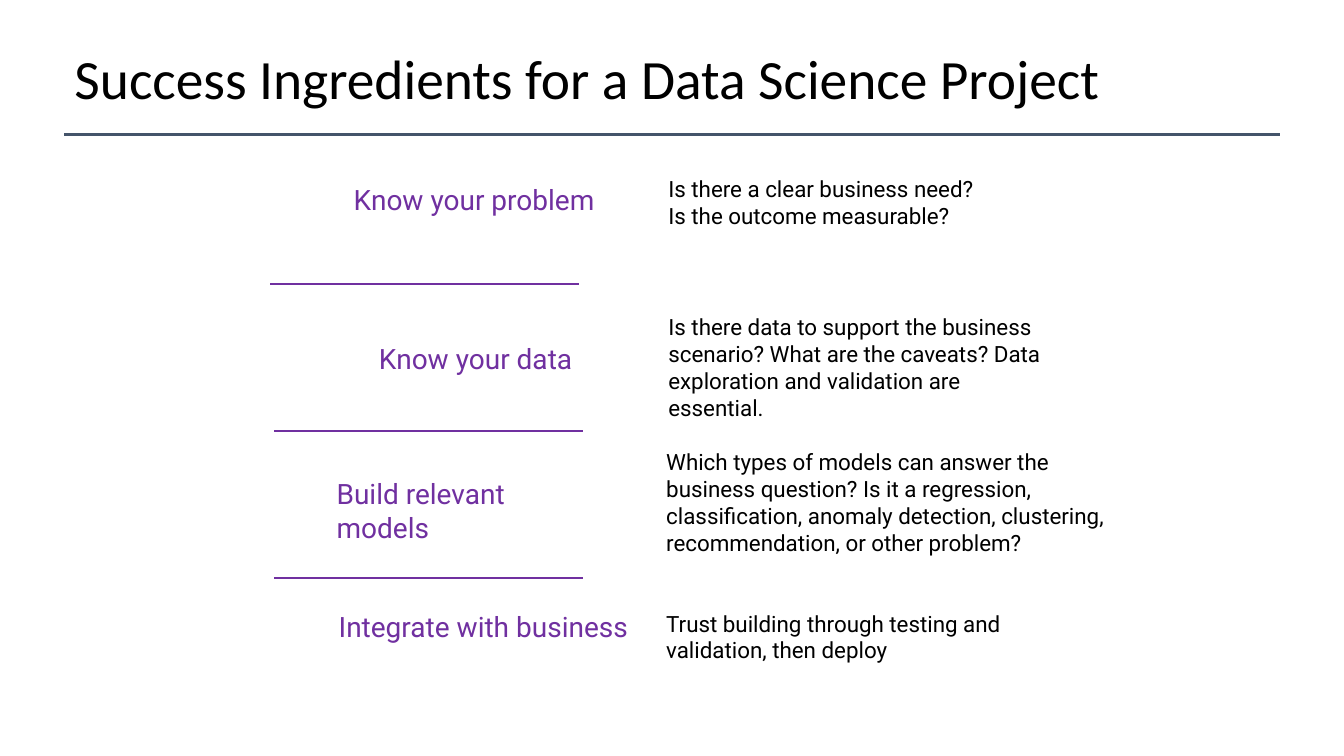
from dataclasses import dataclass

import pptx
import pptx.dml.color
import pptx.enum.shapes
import pptx.enum.text
import pptx.oxml
import pptx.util

Pt = pptx.util.Pt
RGB = pptx.dml.color.RGBColor.from_string


@dataclass(frozen=True)
class Theme:
    text: str = "000000"
    accent: str = "7030A0"
    rule: str = "44546A"
    title_font: str = "Calibri"
    body_font: str = "Roboto"
    title_size: float = 39.6
    label_size: float = 20
    detail_size: float = 16


@dataclass(frozen=True)
class Ingredient:
    label: str
    details: tuple
    label_box: tuple
    detail_box: tuple
    rule_dx: float = 0


THEME = Theme()
SLIDE_W, SLIDE_H = 960, 540
ROW_LEFT, ROW_TOP, ROW_W, ROW_H = 196, 98, 615, 105
RULE_W = 220.5

INGREDIENTS = [
    Ingredient("Know your problem",
               ("Is there a clear business need?", "Is the outcome measurable?"),
               (42.3, 20.8, 232.6, 71.3), (267, 15.8, 254.2, 78.5), -3),
    Ingredient("Know your data",
               ("Is there data to support the business scenario? What are the caveats? "
                "Data exploration and validation are essential.",),
               (60.3, 29.6, 214.6, 71.3), (267, 9.4, 303.8, 72)),
    Ingredient("Build relevant models",
               ("Which types of models can answer the business question? Is it a regression, "
                "classification, anomaly detection, clustering, recommendation, or other problem?",),
               (30, 21, 209.5, 71.3), (265.5, 0.9, 345.6, 93.6)),
    Ingredient("Integrate with business",
               ("Trust building through testing and validation, then deploy",),
               (31.5, 11, 243.4, 71.3), (265.5, 11, 319, 69.1)),
]


def add_run(p, text, font, size, color):
    r = p.add_run()
    r.text = text
    r.font.name = font
    r.font.size = Pt(size)
    r.font.color.rgb = RGB(color)


def add_rule(s, x, y, w, color, weight):
    sp = s.shapes.add_connector(pptx.enum.shapes.MSO_CONNECTOR.STRAIGHT,
                                Pt(x), Pt(y), Pt(x + w), Pt(y))
    sp.line.color.rgb = RGB(color)
    sp.line.width = Pt(weight)
    sp._element.spPr.append(pptx.oxml.parse_xml(
        '<a:effectLst xmlns:a="http://schemas.openxmlformats.org/drawingml/2006/main"/>'))


def add_text(s, box, paragraphs, size, color):
    tf = s.shapes.add_textbox(*map(Pt, box)).text_frame
    tf.word_wrap = True
    tf.margin_left = tf.margin_right = Pt(14.4)
    tf.margin_top = tf.margin_bottom = Pt(11.5)
    for i, text in enumerate(paragraphs):
        p = tf.add_paragraph() if i else tf.paragraphs[0]
        add_run(p, text, THEME.body_font, size, color)


def add_header(s, box, text):
    x, y, w, h = box
    add_rule(s, x, y + h, w, THEME.rule, 2)
    title = s.shapes.title
    title.left, title.top, title.width, title.height = Pt(x), Pt(y), Pt(w), Pt(44)
    tf = title.text_frame
    tf.word_wrap = True
    tf.auto_size = pptx.enum.text.MSO_AUTO_SIZE.NONE
    tf.vertical_anchor = pptx.enum.text.MSO_ANCHOR.MIDDLE
    p = tf.paragraphs[0]
    p.alignment = pptx.enum.text.PP_ALIGN.LEFT
    p.line_spacing = 0.9
    add_run(p, text, THEME.title_font, THEME.title_size, THEME.text)


def add_ingredient(s, box, item, ruled):
    x, y, w, h = box

    def placed(part):
        dx, dy, part_w, part_h = part
        return x + dx, y + dy, min(part_w, w - dx), part_h

    add_text(s, placed(item.label_box), [item.label], THEME.label_size, THEME.accent)
    add_text(s, placed(item.detail_box), item.details, THEME.detail_size, THEME.text)
    if ruled:
        add_rule(s, x + item.rule_dx, y + h, RULE_W, THEME.accent, 1.5)


def main():
    prs = pptx.Presentation()
    prs.slide_width, prs.slide_height = Pt(SLIDE_W), Pt(SLIDE_H)
    s = prs.slides.add_slide(prs.slide_layouts.get_by_name("Title Only"))
    add_header(s, (46, 36, 868, 60), "Success Ingredients for a Data Science Project")
    for i, item in enumerate(INGREDIENTS):
        box = (ROW_LEFT, ROW_TOP + i * ROW_H, ROW_W, ROW_H)
        add_ingredient(s, box, item, ruled=i < len(INGREDIENTS) - 1)
    prs.save("out.pptx")


if __name__ == "__main__":
    main()
